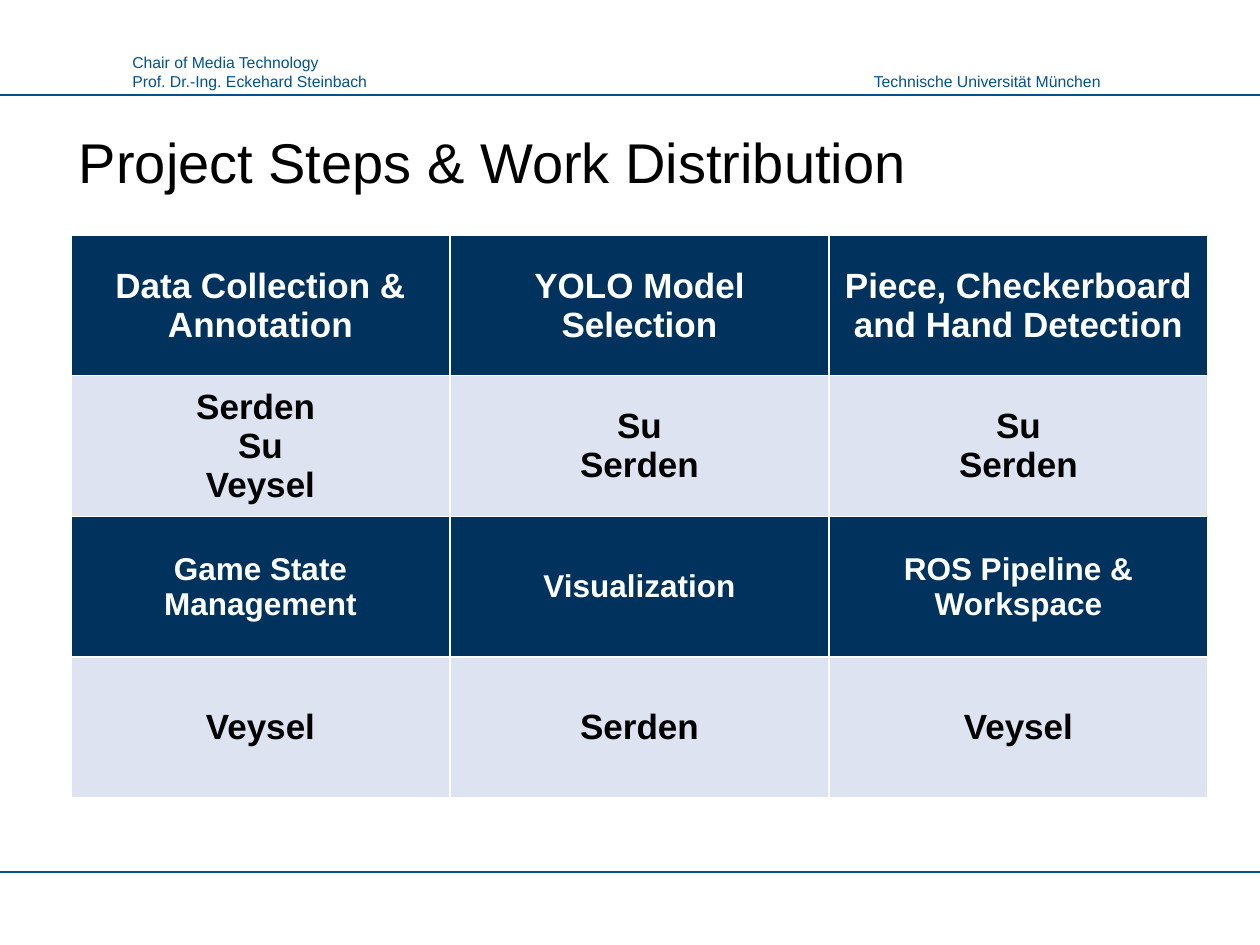
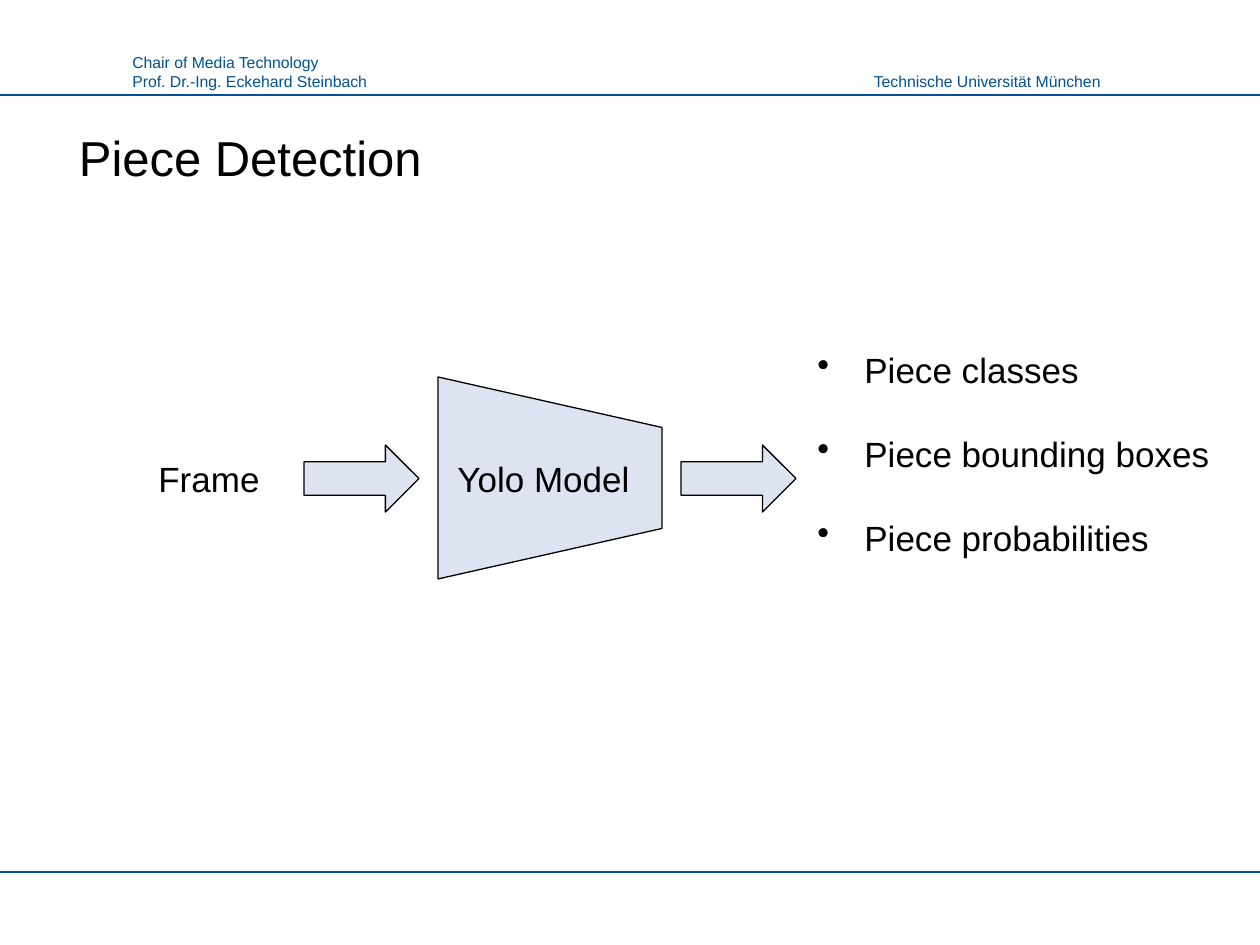
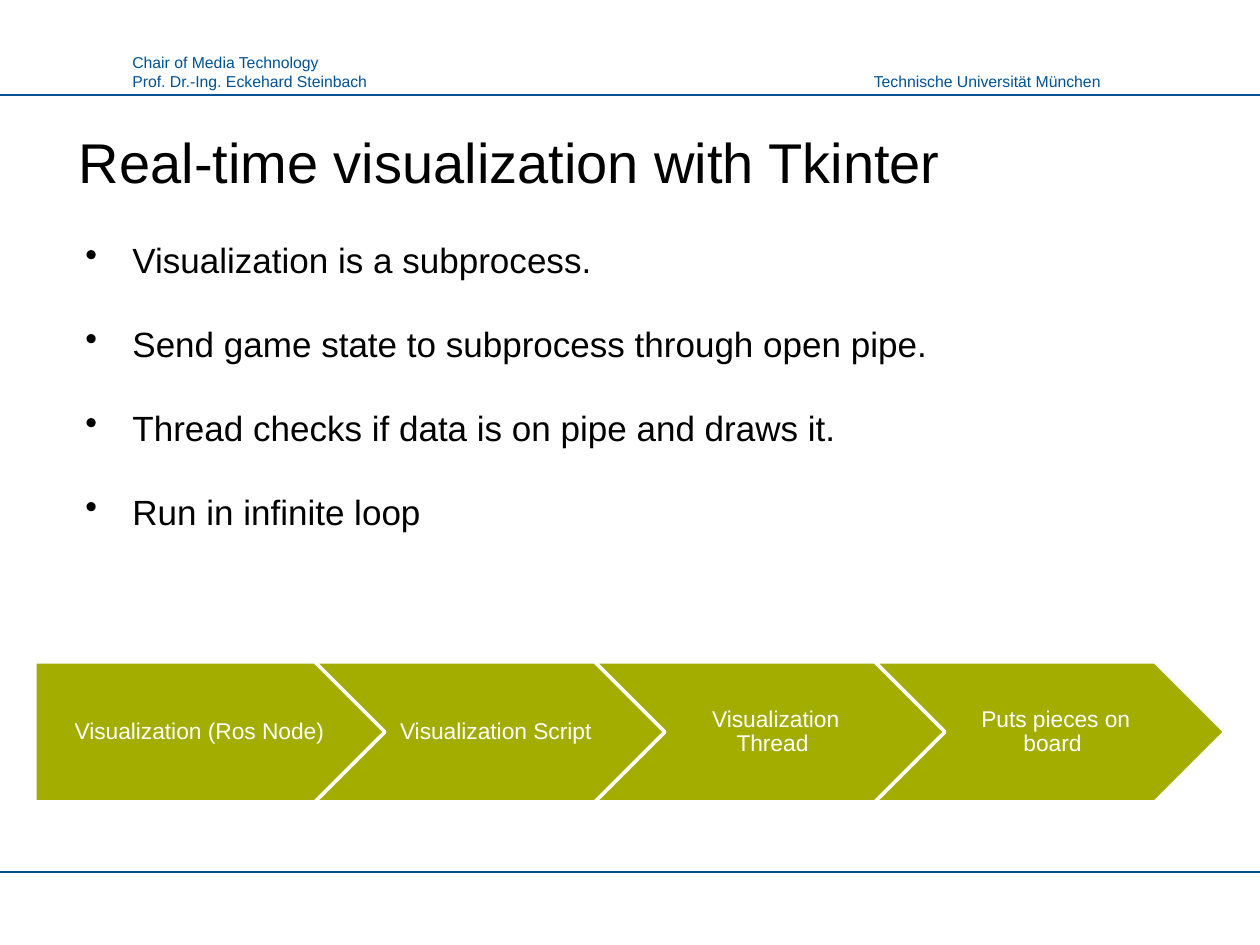
from lxml.etree import SubElement
from pptx import Presentation
from pptx.dml.color import RGBColor
from pptx.enum.shapes import MSO_CONNECTOR, MSO_SHAPE
from pptx.enum.text import MSO_ANCHOR, PP_ALIGN
from pptx.oxml.ns import qn
from pptx.util import Pt

# Shared style
EMU_PER_PX = 914400 / 126
SLIDE_WIDTH, SLIDE_HEIGHT = 1260, 945
FONT = "Arial"
BLACK, WHITE = "000000", "FFFFFF"
HEADER_BLUE, NAVY = "005293", "00325E"
PALE_BLUE, GREEN = "DDE3F1", "A2AD00"
BODY_SIZE = 20
LINE_FACTOR = 1.2


def px(length):
    return round(length * EMU_PER_PX)


def color(hex_string):
    return RGBColor.from_string(hex_string)


def write_text(text_frame, text, size, text_color=BLACK, bold=False,
               alignment=PP_ALIGN.LEFT):
    text_frame.text = text
    for paragraph in text_frame.paragraphs:
        paragraph.alignment = alignment
        for run in paragraph.runs:
            run.font.name = FONT
            run.font.size = Pt(size)
            run.font.bold = bold
            run.font.color.rgb = color(text_color)


def add_text(slide, left, top, width, height, text, size, text_color=BLACK,
             alignment=PP_ALIGN.LEFT, wrap=True):
    box = slide.shapes.add_textbox(px(left), px(top), px(width), px(height))
    text_frame = box.text_frame
    text_frame.word_wrap = wrap
    write_text(text_frame, text, size, text_color, alignment=alignment)
    for paragraph in text_frame.paragraphs:
        paragraph.line_spacing = Pt(size * LINE_FACTOR)
    return text_frame


def add_rule(slide, y):
    rule = slide.shapes.add_connector(
        MSO_CONNECTOR.STRAIGHT, 0, px(y), px(SLIDE_WIDTH), px(y))
    rule.line.color.rgb = color(HEADER_BLUE)
    rule.line.width = Pt(0.75)
    SubElement(rule._element.spPr, qn("a:effectLst"))


def add_shape(slide, preset, left, top, width, height, fill, line, line_width):
    shape = slide.shapes.add_shape(
        preset, px(left), px(top), px(width), px(height))
    shape.shadow.inherit = False
    shape.fill.solid()
    shape.fill.fore_color.rgb = color(fill)
    shape.line.color.rgb = color(line)
    shape.line.width = Pt(line_width)
    return shape


def add_bullets(slide, left, top, width, height, items):
    text_frame = add_text(slide, left, top, width, height,
                          "\n".join(items), BODY_SIZE)
    for index, paragraph in enumerate(text_frame.paragraphs):
        properties = paragraph._p.get_or_add_pPr()
        properties.set("marL", str(px(47)))
        properties.set("indent", str(-px(47)))
        SubElement(properties, qn("a:buChar")).set("char", "•")
        if index:
            paragraph.space_before = Pt(BODY_SIZE * LINE_FACTOR)


def add_borders(cell, border_color, width):
    properties = cell._tc.get_or_add_tcPr()
    for side in ("lnL", "lnR", "lnT", "lnB"):
        border = SubElement(properties, qn(f"a:{side}"))
        border.set("w", str(Pt(width)))
        fill = SubElement(border, qn("a:solidFill"))
        SubElement(fill, qn("a:srgbClr")).set("val", border_color)


def add_work_table(slide, left, top, width, height, rows, header_sizes):
    table = slide.shapes.add_table(len(rows), len(rows[0]), px(left), px(top),
                                   px(width), px(height)).table
    for row_index, row in enumerate(rows):
        is_header = row_index in header_sizes
        for column_index, text in enumerate(row):
            cell = table.cell(row_index, column_index)
            write_text(cell.text_frame, text,
                       header_sizes.get(row_index, BODY_SIZE),
                       WHITE if is_header else BLACK, True, PP_ALIGN.CENTER)
            cell.vertical_anchor = MSO_ANCHOR.MIDDLE
            add_borders(cell, WHITE, 1)
            cell.fill.solid()
            cell.fill.fore_color.rgb = color(NAVY if is_header else PALE_BLUE)


def add_process(slide, left, top, steps):
    for index, step in enumerate(steps):
        preset = MSO_SHAPE.CHEVRON if index else MSO_SHAPE.PENTAGON
        shape = add_shape(slide, preset, left + index * 280, top, 350, 140,
                          GREEN, WHITE, 2)
        text_frame = shape.text_frame
        text_frame.word_wrap = True
        text_frame.vertical_anchor = MSO_ANCHOR.MIDDLE
        text_frame.margin_left = px(8 if index else 10)
        text_frame.margin_right = px(3)
        text_frame.margin_top = text_frame.margin_bottom = px(5)
        write_text(text_frame, step, 13, WHITE, alignment=PP_ALIGN.CENTER)
        text_frame.paragraphs[0].line_spacing = 0.9


def add_slide(presentation, title, title_size=32):
    slide = presentation.slides.add_slide(presentation.slide_layouts[6])
    # Header and footer rules
    add_text(slide, 858, 66, 255, 31, "Technische Universität München", 9,
             HEADER_BLUE, PP_ALIGN.RIGHT, wrap=False)
    add_rule(slide, 872)
    add_rule(slide, 95)
    add_text(slide, 120, 47, 262, 50,
             "Chair of Media Technology\nProf. Dr.-Ing. Eckehard Steinbach",
             9, HEADER_BLUE, wrap=False)
    # Title
    title_frame = add_text(slide, 70, 117, 1120, 83, title, title_size)
    title_frame.margin_left = px(9)
    title_frame.margin_top = px(10)
    return slide


def build_work_slide(presentation):
    slide = add_slide(presentation, "Project Steps & Work Distribution")
    rows = [
        ["Data Collection & Annotation", "YOLO Model Selection",
         "Piece, Checkerboard and Hand Detection"],
        ["Serden \nSu\nVeysel", "Su\nSerden", "Su\nSerden"],
        ["Game State Management", "Visualization",
         "ROS Pipeline & Workspace"],
        ["Veysel", "Serden", "Veysel"],
    ]
    add_work_table(slide, 71, 235, 1137, 563, rows, {0: 20, 2: 18})


def build_detection_slide(presentation):
    slide = add_slide(presentation, "Piece Detection", 28)
    # Model between its input and output arrows
    model = add_shape(slide, MSO_SHAPE.TRAPEZOID, 449, 366, 202, 224,
                      PALE_BLUE, BLACK, 0.75)
    model.rotation = 90
    add_text(slide, 445, 451, 209, 55, "Yolo Model", BODY_SIZE)
    add_text(slide, 146, 451, 164, 55, "Frame", BODY_SIZE)
    for arrow_left in (304, 681):
        add_shape(slide, MSO_SHAPE.RIGHT_ARROW, arrow_left, 445, 115, 67,
                  PALE_BLUE, BLACK, 0.75)
    # Outputs
    add_bullets(slide, 805, 342, 422, 310,
                ["Piece classes", "Piece bounding boxes",
                 "Piece probabilities"])


def build_visualization_slide(presentation):
    slide = add_slide(presentation, "Real-time visualization with Tkinter")
    add_process(slide, 35, 662, [
        " Visualization (Ros Node)", " Visualization Script",
        " Visualization Thread", " Puts pieces on board"])
    add_bullets(slide, 73, 232, 1062, 310, [
        "Visualization is a subprocess.",
        "Send game state to subprocess through open pipe.",
        "Thread checks if data is on pipe and draws it.",
        "Run in infinite loop"])


def main():
    presentation = Presentation()
    presentation.slide_width = px(SLIDE_WIDTH)
    presentation.slide_height = px(SLIDE_HEIGHT)
    build_work_slide(presentation)
    build_detection_slide(presentation)
    build_visualization_slide(presentation)
    presentation.save("out.pptx")


if __name__ == "__main__":
    main()
